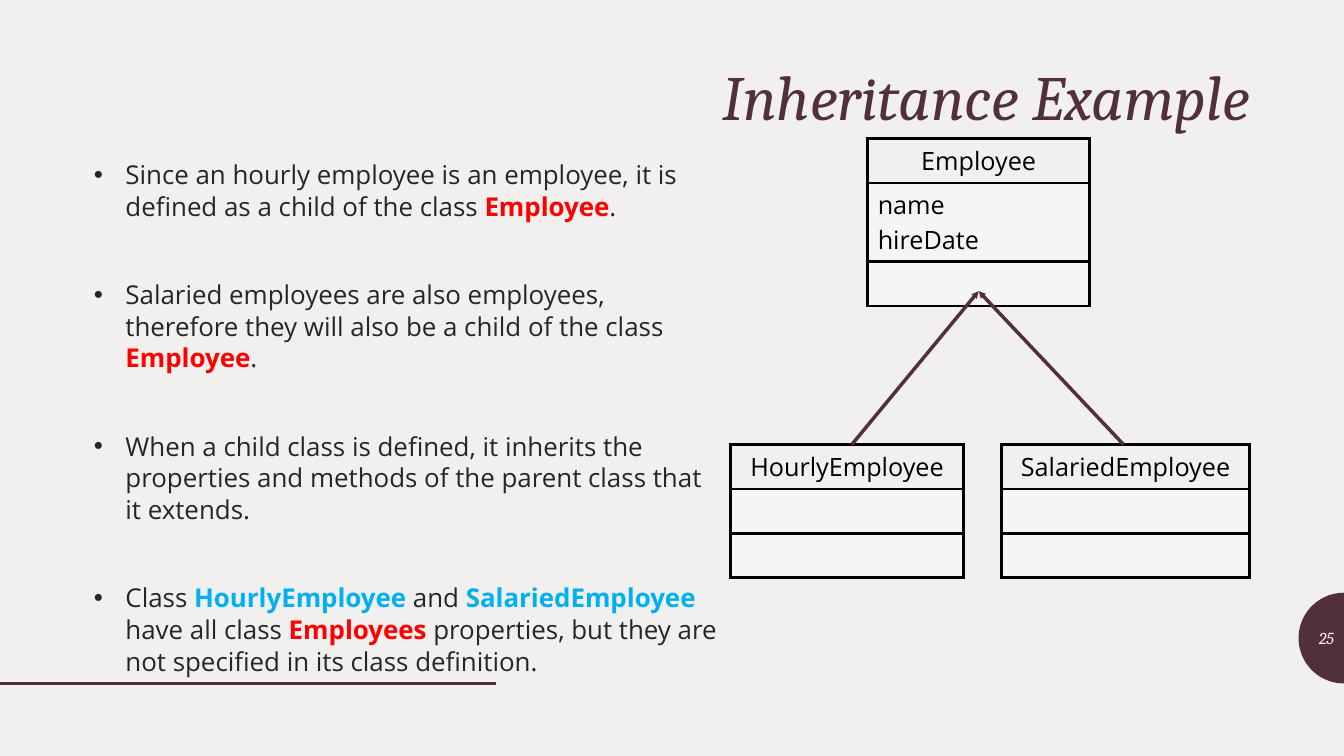
from lxml import etree
from pptx import Presentation
from pptx.dml.color import RGBColor
from pptx.enum.shapes import MSO_CONNECTOR
from pptx.enum.text import MSO_ANCHOR, MSO_AUTO_SIZE, PP_ALIGN
from pptx.oxml.ns import qn
from pptx.util import Pt
import math

LEFT, CENTER, RIGHT = PP_ALIGN.LEFT, PP_ALIGN.CENTER, PP_ALIGN.RIGHT
MIDDLE = MSO_ANCHOR.MIDDLE
NO_AUTOSIZE = MSO_AUTO_SIZE.NONE
STRAIGHT = MSO_CONNECTOR.STRAIGHT
TITLE_ONLY = 5

SERIF, SANS = "Cambria", "Open Sans"
PAPER, PLUM, INK = "F2F0EF", "51303B", "262626"
RED, BLUE, BLACK, CELL = "FF0000", "00B0F0", "000000", "F5F5F5"
SLIDE_W, SLIDE_H = 960, 540
ROW_H, LINE_H = 31.7, 24.5

BULLETS = [
    [("Since an hourly employee is an employee, it is defined as a child of the class ", INK),
     ("Employee", RED), (".", INK)],
    [("Salaried employees are also employees, therefore they will also be a child of the class ", INK),
     ("Employee", RED), (".", INK)],
    [("When a child class is defined, it inherits the properties and methods of the parent "
      "class that it extends.", INK)],
    [("Class ", INK), ("HourlyEmployee ", BLUE), ("and ", INK), ("SalariedEmployee ", BLUE),
     ("have all class ", INK), ("Employees ", RED),
     ("properties, but they are not specified in its class definition.", INK)],
]


def rgb(value):
    return RGBColor.from_string(value)


def add_run(p, text, size, color, font=SANS, bold=False, italic=False):
    r = p.add_run()
    r.text = text
    r.font.name, r.font.size = font, Pt(size)
    r.font.bold, r.font.italic = bold, italic
    r.font.color.rgb = rgb(color)


def add_text_box(s, x, y, w, h):
    tf = s.shapes.add_textbox(Pt(x), Pt(y), Pt(w), Pt(h)).text_frame
    tf.word_wrap = True
    return tf


def add_title(s, text):
    title = s.shapes.title
    title.left, title.top, title.width, title.height = Pt(60), Pt(44.5), Pt(840), Pt(54.5)
    tf = title.text_frame
    tf.vertical_anchor, tf.auto_size = MIDDLE, NO_AUTOSIZE
    p = tf.paragraphs[0]
    p.alignment, p.line_spacing = RIGHT, 0.9
    add_run(p, text, 45, PLUM, SERIF, italic=True)


def add_bullets(s, bullets):
    tf = add_text_box(s, 60, 109.5, 461.5, 370)
    for i, runs in enumerate(bullets):
        p = tf.paragraphs[0] if i == 0 else tf.add_paragraph()
        p_pr = p._p.get_or_add_pPr()
        p_pr.set("marL", str(Pt(22.5)))
        p_pr.set("indent", str(-Pt(22.5)))
        etree.SubElement(p_pr, qn("a:buFont")).set("typeface", "Arial")
        etree.SubElement(p_pr, qn("a:buChar")).set("char", "•")
        p.line_spacing = 1.02
        p.space_before = Pt(40.3 if i else 0)
        for text, color in runs:
            add_run(p, text, 18.5, color, bold=color != INK)


def add_line(s, x1, y1, x2, y2, width, arrow=False):
    line = s.shapes.add_connector(STRAIGHT, Pt(x1), Pt(y1), Pt(x2), Pt(y2))
    line.line.color.rgb, line.line.width = rgb(PLUM), Pt(width)
    if arrow:
        etree.SubElement(line.line._get_or_add_ln(), qn("a:tailEnd"), type="triangle", w="sm", len="sm")
    etree.SubElement(line._element.spPr, qn("a:effectLst"))


def add_border(cell):
    tc_pr = cell._tc.get_or_add_tcPr()
    for i, side in enumerate(("lnL", "lnR", "lnT", "lnB")):
        ln = etree.Element(qn(f"a:{side}"), w=str(Pt(2.25)))
        fill = etree.SubElement(ln, qn("a:solidFill"))
        etree.SubElement(fill, qn("a:srgbClr")).set("val", BLACK)
        tc_pr.insert(i, ln)


def add_class_box(s, x, y, w, name, properties=()):
    heights = [ROW_H, ROW_H + LINE_H * max(len(properties) - 1, 0), ROW_H]
    table = s.shapes.add_table(3, 1, Pt(x), Pt(y), Pt(w), Pt(sum(heights))).table
    table.first_row = table.horz_banding = False
    for i, (height, lines) in enumerate(zip(heights, ([name], properties, []))):
        table.rows[i].height = Pt(height)
        cell = table.cell(i, 0)
        if i == 0:
            cell.fill.background()
        else:
            cell.fill.solid()
            cell.fill.fore_color.rgb = rgb(CELL)
        add_border(cell)
        for j, text in enumerate(lines):
            p = cell.text_frame.paragraphs[0] if j == 0 else cell.text_frame.add_paragraph()
            p.alignment = CENTER if i == 0 else LEFT
            add_run(p, text, 18, BLACK)


def add_page_tab(s, number):
    # Half disc on the right edge
    radius, middle = 32.4, 455.8
    angles = [math.radians(90 + 4 * k) for k in range(46)]
    points = [(Pt(SLIDE_W + radius * math.cos(a)), Pt(middle + radius * math.sin(a))) for a in angles]
    builder = s.shapes.build_freeform(*points[0])
    builder.add_line_segments(points[1:], close=True)
    sp = builder.convert_to_shape()
    sp.shadow.inherit = False
    sp.fill.solid()
    sp.fill.fore_color.rgb = rgb(PLUM)
    sp.line.fill.background()
    # Page number
    tf = add_text_box(s, SLIDE_W - radius, middle - 14.4, radius, 28.8)
    tf.vertical_anchor = MIDDLE
    p = tf.paragraphs[0]
    p.alignment = RIGHT
    add_run(p, number, 12, PAPER, SERIF, italic=True)


def main():
    prs = Presentation()
    prs.slide_width, prs.slide_height = Pt(SLIDE_W), Pt(SLIDE_H)
    s = prs.slides.add_slide(prs.slide_layouts[TITLE_ONLY])
    s.background.fill.solid()
    s.background.fill.fore_color.rgb = rgb(PAPER)

    # Frame and text
    add_page_tab(s, "25")
    add_line(s, 0, 488, 354, 488, 2)
    add_title(s, "Inheritance Example")
    add_bullets(s, BULLETS)

    # Class diagram
    add_class_box(s, 619.8, 99, 158.5, "Employee", ["name", "hireDate"])
    add_class_box(s, 521.8, 317.5, 166.5, "HourlyEmployee")
    add_class_box(s, 715.5, 317.5, 177, "SalariedEmployee")
    for child_x in (608.5, 802.5):
        add_line(s, child_x, 317.5, 699, 208, 2.5, arrow=True)

    prs.save("out.pptx")


if __name__ == "__main__":
    main()
